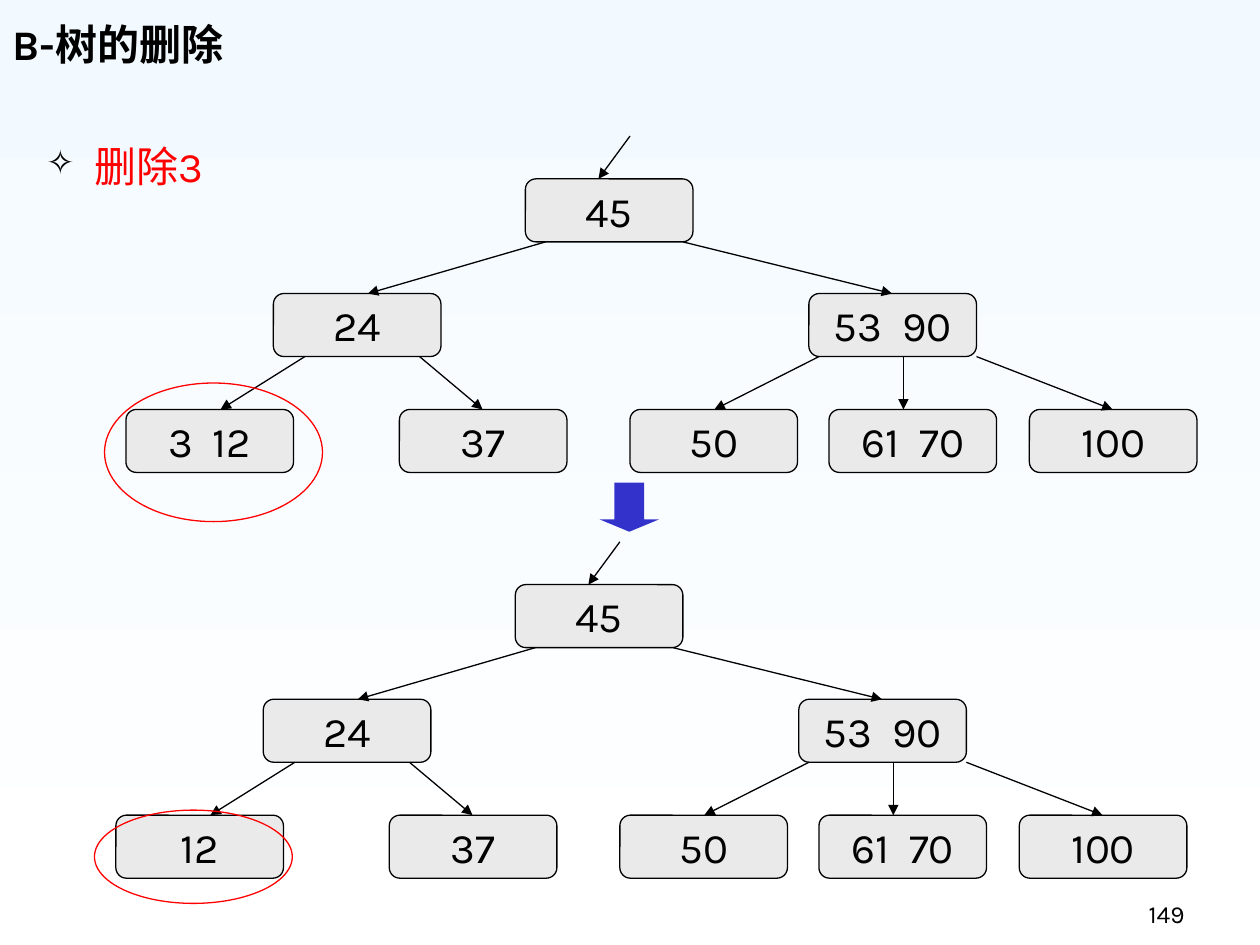
from dataclasses import dataclass
from typing import NamedTuple

from lxml.etree import SubElement
from pptx import Presentation
from pptx.dml.color import RGBColor
from pptx.enum.shapes import MSO_CONNECTOR as Connector, MSO_SHAPE as Shape
from pptx.enum.text import MSO_ANCHOR as Anchor, PP_ALIGN as Align
from pptx.oxml.ns import qn
from pptx.util import Inches, Pt


@dataclass(frozen=True)
class Theme:
    font: str = "Karla"
    ink: str = "000000"
    accent: str = "FF0000"
    node: str = "EAEAEA"
    arrow: str = "3333CC"
    sky: str = "F3FAFF"
    white: str = "FFFFFF"
    body_size: int = 24
    number_size: int = 14
    line_width: float = 0.75


class Area(NamedTuple):
    left: float
    top: float
    width: float
    height: float


class Node(NamedTuple):
    keys: str
    left: float
    level: int


class Edge(NamedTuple):
    start: float
    end: float
    level: int


class Tree(NamedTuple):
    left: float
    top: float
    first_leaf: str
    mark: Area


THEME = Theme()
NODE_WIDTH, NODE_HEIGHT = 1.33, 0.5
LEVEL_TOPS = (0.34, 1.25, 2.17)
NODES = (
    Node("45", 3.17, 0),
    Node("53  90", 5.42, 1),
    Node("24", 1.17, 1),
    Node("37", 2.17, 2),
    Node("100", 7.17, 2),
    Node("50", 4, 2),
    Node("61  70", 5.58, 2),
)
EDGES = (
    Edge(4, 3.75, 0),
    Edge(3.33, 1.92, 1),
    Edge(4.42, 6.08, 1),
    Edge(1.42, 0.75, 2),
    Edge(2.33, 2.83, 2),
    Edge(5.5, 4.67, 2),
    Edge(6.75, 7.83, 2),
    Edge(6.17, 6.17, 2),
)
BEFORE = Tree(1, 1.08, "3  12", Area(0.83, 3.04, 1.73, 1.1))
AFTER = Tree(0.92, 4.3, "12", Area(0.75, 6.43, 1.57, 0.74))


def color(value: str) -> RGBColor:
    return RGBColor.from_string(value)


def write(para, text: str, size: int, ink: str, bold: bool = False) -> None:
    span = para.add_run()
    span.text = text
    span.font.name = THEME.font
    span.font.size = Pt(size)
    span.font.bold = bold
    span.font.color.rgb = color(ink)


def add_figure(shapes, kind, area: Area, fill: str = "", line: str = ""):
    figure = shapes.add_shape(kind, *map(Inches, area))
    figure.shadow.inherit = False
    if fill:
        figure.fill.solid()
        figure.fill.fore_color.rgb = color(fill)
    else:
        figure.fill.background()
    if line:
        figure.line.color.rgb = color(line)
        figure.line.width = Pt(THEME.line_width)
    else:
        figure.line.fill.background()
    return figure


def add_node(shapes, keys: str, left: float, top: float) -> None:
    area = Area(left, top, NODE_WIDTH, NODE_HEIGHT)
    node = add_figure(shapes, Shape.ROUNDED_RECTANGLE, area, THEME.node, THEME.ink)
    frame = node.text_frame
    frame.word_wrap = False
    frame.vertical_anchor = Anchor.MIDDLE
    para = frame.paragraphs[0]
    para.alignment = Align.CENTER
    write(para, keys, THEME.body_size, THEME.ink)


def add_edge(shapes, start: tuple[float, float], end: tuple[float, float]) -> None:
    edge = shapes.add_connector(Connector.STRAIGHT, *map(Inches, start + end))
    edge.line.color.rgb = color(THEME.ink)
    edge.line.width = Pt(THEME.line_width)
    SubElement(edge.line._get_or_add_ln(), qn("a:tailEnd"), type="triangle")
    SubElement(edge._element.spPr, qn("a:effectLst"))


def draw_tree(shapes, tree: Tree) -> None:
    for node in (*NODES, Node(tree.first_leaf, 0, 2)):
        add_node(shapes, node.keys, tree.left + node.left, tree.top + LEVEL_TOPS[node.level])
    for edge in EDGES:
        start_top = LEVEL_TOPS[edge.level - 1] + NODE_HEIGHT if edge.level else 0
        add_edge(
            shapes,
            (tree.left + edge.start, tree.top + start_top),
            (tree.left + edge.end, tree.top + LEVEL_TOPS[edge.level]),
        )
    add_figure(shapes, Shape.OVAL, tree.mark, line=THEME.accent)


def add_text_box(shapes, area: Area, anchor):
    box = shapes.add_textbox(*map(Inches, area))
    box.text_frame.word_wrap = True
    box.text_frame.vertical_anchor = anchor
    return box.text_frame.paragraphs[0]


def add_bullet(para, symbol: str, indent: float) -> None:
    properties = para._p.get_or_add_pPr()
    properties.set("marL", str(Inches(indent)))
    properties.set("indent", str(-Inches(indent)))
    bullet_color = SubElement(properties, qn("a:buClr"))
    SubElement(bullet_color, qn("a:srgbClr"), val=THEME.ink)
    SubElement(properties, qn("a:buSzPct"), val="80000")
    SubElement(properties, qn("a:buChar"), char=symbol)


def paint_background(page) -> None:
    fill = page.background.fill
    fill.gradient()
    fill.gradient_angle = 270
    for stop, shade, position in zip(fill.gradient_stops, (THEME.sky, THEME.white), (0, 1)):
        stop.color.rgb = color(shade)
        stop.position = position


def main() -> None:
    deck = Presentation()
    deck.slide_width, deck.slide_height = Inches(10), Inches(7.5)
    page = deck.slides.add_slide(deck.slide_layouts[6])
    paint_background(page)

    title = add_text_box(page.shapes, Area(0, 0, 8.52, 0.6), Anchor.BOTTOM)
    write(title, "B-树的删除", THEME.body_size, THEME.ink, bold=True)

    draw_tree(page.shapes, BEFORE)
    task = add_text_box(page.shapes, Area(0.27, 1.07, 4.25, 1.34), Anchor.TOP)
    add_bullet(task, "✧", 0.38)
    write(task, "删除3", THEME.body_size, THEME.accent)

    draw_tree(page.shapes.add_group_shape().shapes, AFTER)
    arrow = add_figure(page.shapes, Shape.DOWN_ARROW, Area(4.76, 3.83, 0.47, 0.39), THEME.arrow)
    arrow.adjustments[1] = 0.25

    number = add_text_box(page.shapes, Area(7.42, 6.92, 2.08, 0.5), Anchor.BOTTOM)
    number.alignment = Align.RIGHT
    write(number, "149", THEME.number_size, THEME.ink)
    deck.save("out.pptx")


if __name__ == "__main__":
    main()
